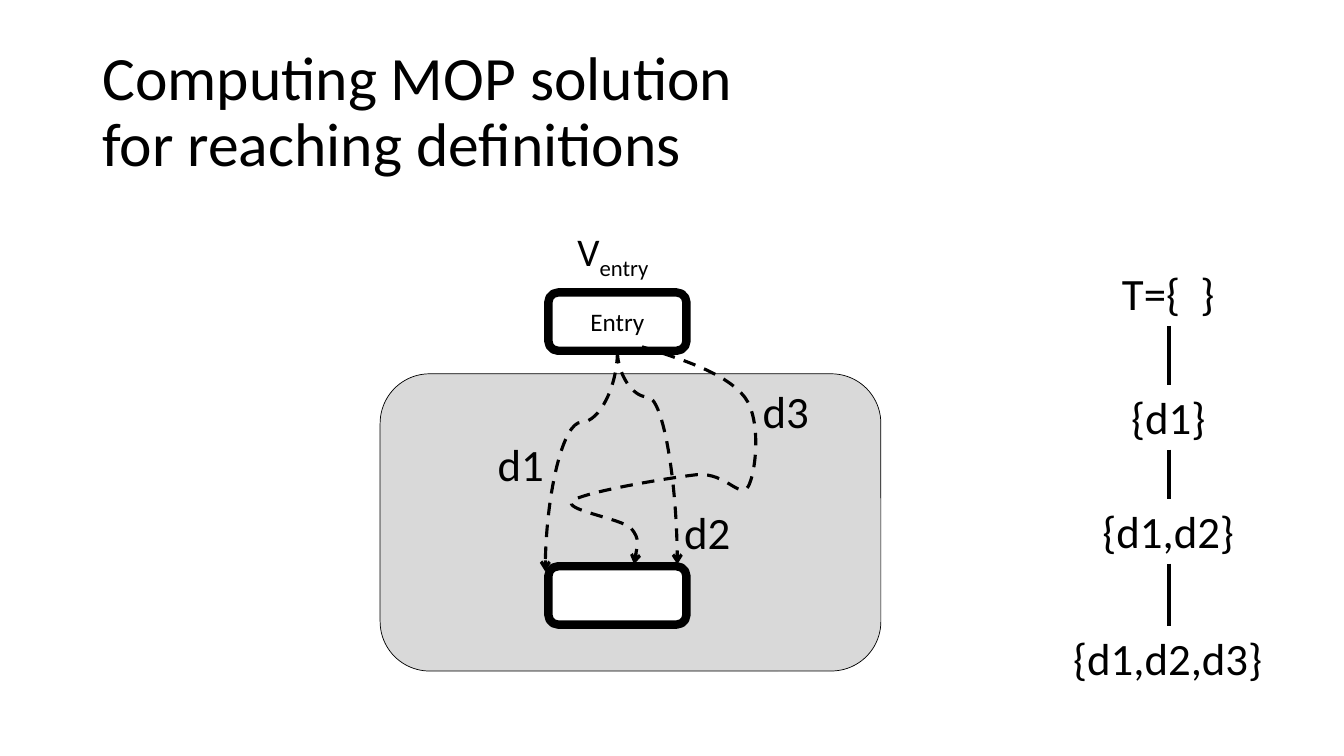
from lxml.etree import SubElement
from pptx import Presentation
from pptx.dml.color import RGBColor
from pptx.enum.dml import MSO_LINE
from pptx.enum.shapes import MSO_CONNECTOR, MSO_SHAPE
from pptx.enum.text import MSO_ANCHOR, MSO_AUTO_SIZE, PP_ALIGN
from pptx.oxml.ns import qn
from pptx.util import Cm, Pt

BLACK = RGBColor(0, 0, 0)
WHITE = RGBColor(255, 255, 255)
GREY = RGBColor(0xD9, 0xD9, 0xD9)

BLOCK_LEFT, BLOCK_WIDTH, BLOCK_HEIGHT = 13.82, 3.48, 1.47
ENTRY_TOP, TARGET_TOP = 7.37, 14.27
LABEL_HEIGHT = 1.63
LATTICE_CENTER = 29.46

LATTICE = [("T={  }", 6.58, 2.87), ("{d1}", 9.7, 2.41),
           ("{d1,d2}", 12.57, 3.86), ("{d1,d2,d3}", 15.77, 5.33)]
DEFINITIONS = [("d1", 12.29, 10.87), ("d2", 16.99, 12.6), ("d3", 18.97, 9.55)]
SHORT_PATHS = [((13.74, 14.4), 32400), ((17.07, 14.22), 21600)]
LONG_PATH_START = (16.18, 8.74)
LONG_PATH = [
    ((17.25, 9.07), (18.31, 9.42), (18.77, 10.01)),
    ((19.2, 10.59), (19.05, 11.94), (18.85, 12.27)),
    ((18.64, 12.57), (18.29, 11.91), (17.58, 11.96)),
    ((16.84, 12.04), (14.71, 12.4), (14.43, 12.62)),
    ((14.15, 12.85), (15.65, 13.06), (15.9, 13.31)),
    ((16.15, 13.59), (15.98, 14.22), (15.98, 14.22)),
]


def apply(target, values):
    for name, value in values.items():
        setattr(target, name, value)


class SlideBuilder:
    font_name = "Calibri"

    def __init__(self, page):
        self.page = page

    def fill_text(self, box, text, size, frame_format, para_format=None):
        frame = box.text_frame
        apply(frame, frame_format)
        para = frame.paragraphs[0]
        para.text = text
        apply(para, para_format or {})
        for span in para.runs:
            self.style_span(span, size)
        return para

    def style_span(self, span, size):
        apply(span.font, {"name": self.font_name, "size": Pt(size)})
        span.font.color.rgb = BLACK

    def text_box(self, left, top, width, height):
        return self.page.shapes.add_textbox(Cm(left), Cm(top), Cm(width), Cm(height))

    def title(self, text):
        box = self.text_box(2.33, 1.02, 29.21, 3.68)
        self.fill_text(box, text, 44,
                       {"word_wrap": True, "vertical_anchor": MSO_ANCHOR.MIDDLE},
                       {"line_spacing": 0.9})

    def label(self, text, left, top, width=1.7, height=LABEL_HEIGHT, size=32, subscript=None):
        box = self.text_box(left, top, width, height)
        para = self.fill_text(box, text, size, {"word_wrap": False,
                                                "auto_size": MSO_AUTO_SIZE.SHAPE_TO_FIT_TEXT})
        if subscript:
            span = para.add_run()
            span.text = subscript
            self.style_span(span, size)
            span.font._element.set("baseline", "-25000")
        return box

    def rounded(self, left, top, width, height, weight, fill=None, text=None):
        box = self.page.shapes.add_shape(MSO_SHAPE.ROUNDED_RECTANGLE,
                                         Cm(left), Cm(top), Cm(width), Cm(height))
        box.shadow.inherit = False
        if fill is None:
            box.fill.background()
        else:
            box.fill.solid()
            box.fill.fore_color.rgb = fill
        self.stroke(box, weight)
        if text:
            self.fill_text(box, text, 18, {"vertical_anchor": MSO_ANCHOR.MIDDLE},
                           {"alignment": PP_ALIGN.CENTER})

    def stroke(self, item, weight):
        item.line.color.rgb = BLACK
        item.line.width = Pt(weight)

    def dashed_arrow(self, item):
        self.stroke(item, 2.25)
        item.line.dash_style = MSO_LINE.DASH
        outline = item.element.spPr.find(qn("a:ln"))
        SubElement(outline, qn("a:tailEnd"), type="arrow")

    def connector(self, kind, begin, end):
        line = self.page.shapes.add_connector(kind, *(Cm(value) for value in begin + end))
        SubElement(line.element.spPr, qn("a:effectLst"))
        return line

    def link(self, upper, lower):
        line = self.connector(MSO_CONNECTOR.STRAIGHT, (0, 0), (0, 0))
        line.begin_connect(upper, 2)
        line.end_connect(lower, 0)
        self.stroke(line, 3)

    def curved_arrow(self, begin, end, bend):
        across, down = end[0] - begin[0], end[1] - begin[1]
        center_x, center_y = begin[0] + across / 2, begin[1] + down / 2
        near, far = center_x - down / 2, center_x + down / 2
        top, bottom = center_y - abs(across) / 2, center_y + abs(across) / 2
        leftward = across < 0
        first, last = (near, far) if leftward else (far, near)
        arrow = self.connector(MSO_CONNECTOR.CURVE, (first, top), (last, bottom))
        properties = arrow.element.spPr
        properties.find(qn("a:xfrm")).set("rot", str((90 if leftward else 270) * 60000))
        adjustments = properties.find(qn("a:prstGeom")).find(qn("a:avLst"))
        SubElement(adjustments, qn("a:gd"), name="adj1", fmla=f"val {bend}")
        self.dashed_arrow(arrow)

    def bezier_arrow(self, start, curves):
        builder = self.page.shapes.build_freeform(Cm(start[0]), Cm(start[1]))
        anchors = [(Cm(x), Cm(y)) for *_, (x, y) in curves]
        builder.add_line_segments(anchors, close=False)
        arrow = builder.convert_to_shape()
        arrow.shadow.inherit = False
        arrow.fill.background()
        for segment, points in zip(list(arrow.element.iter(qn("a:lnTo"))), curves):
            curve = segment.makeelement(qn("a:cubicBezTo"))
            for x, y in points:
                SubElement(curve, qn("a:pt"), x=str(Cm(x) - arrow.left), y=str(Cm(y) - arrow.top))
            segment.getparent().replace(segment, curve)
        self.dashed_arrow(arrow)


def main():
    deck = Presentation()
    deck.slide_width, deck.slide_height = Cm(33.87), Cm(19.05)
    slide = SlideBuilder(deck.slides.add_slide(deck.slide_layouts[6]))

    slide.rounded(9.58, 9.42, 12.62, 7.49, 0.5, GREY)
    slide.title("Computing MOP solution\vfor reaching definitions")
    slide.rounded(BLOCK_LEFT, ENTRY_TOP, BLOCK_WIDTH, BLOCK_HEIGHT, 6, text="Entry")
    slide.label("V", 14.3, 5.61, 2.54, 1.45, size=28, subscript="entry")
    slide.rounded(BLOCK_LEFT, TARGET_TOP, BLOCK_WIDTH, BLOCK_HEIGHT, 6, WHITE)

    entry_exit = (BLOCK_LEFT + BLOCK_WIDTH / 2, ENTRY_TOP + BLOCK_HEIGHT)
    for end, bend in SHORT_PATHS:
        slide.curved_arrow(entry_exit, end, bend)
    slide.bezier_arrow(LONG_PATH_START, LONG_PATH)
    for name, left, top in DEFINITIONS:
        slide.label(name, left, top)

    levels = [slide.label(text, LATTICE_CENTER - width / 2, top, width)
              for text, top, width in LATTICE]
    for upper, lower in zip(levels, levels[1:]):
        slide.link(upper, lower)

    deck.save("out.pptx")


if __name__ == "__main__":
    main()
